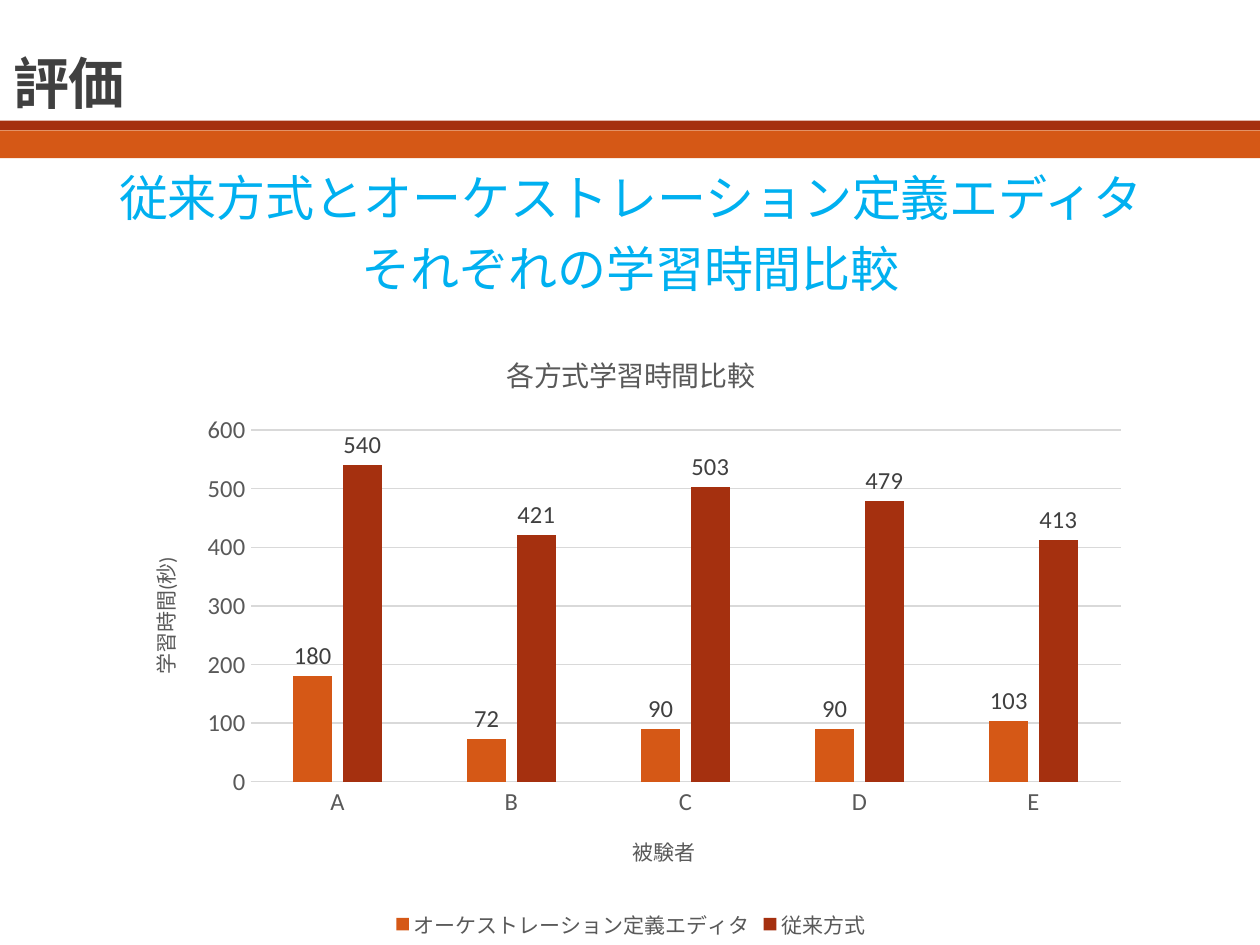
from pptx import Presentation
from pptx.chart.data import CategoryChartData
from pptx.dml.color import RGBColor
from pptx.enum import chart as ch, shapes, text
from pptx.util import Pt

FONT = "Calibri"
ORANGE, RED, GREY, PALE = "D55816", "A5300F", "595959", "D9D9D9"


def color(code):
    return RGBColor.from_string(code)


def style(font, size, code, bold=False):
    font.name, font.size, font.bold = FONT, Pt(size), bold
    font.color.rgb = color(code)


def write(frame, words, size, code, bold=False, align=None, space=None,
          before=0, after=0, track=None):
    for i, line in enumerate(words.split("\n")):
        para = frame.add_paragraph() if i else frame.paragraphs[0]
        para.alignment, para.line_spacing = align, space
        para.space_before, para.space_after = Pt(before), Pt(after)
        run = para.add_run()
        run.text = line
        style(run.font, size, code, bold)
        if track is not None:
            run.font._element.set("spc", str(int(track * 100)))


def add_box(slide, box, words, size, code, anchor, side=7.2, **form):
    frame = slide.shapes.add_textbox(*map(Pt, box)).text_frame
    frame.word_wrap = True
    frame.vertical_anchor = anchor
    frame.margin_left = frame.margin_right = Pt(side)
    write(frame, words, size, code, **form)


def add_band(slide, box, code):
    band = slide.shapes.add_shape(shapes.MSO_SHAPE.RECTANGLE, *map(Pt, box))
    band.shadow.inherit = False
    band.fill.solid()
    band.fill.fore_color.rgb = color(code)
    band.line.fill.background()


def add_header(slide, box):
    x, y, w, h = box
    # Two bands along the bottom, title above
    add_band(slide, (x, y + h - 16, w, 16), ORANGE)
    add_band(slide, (x, y + h - 21.6, w, 5.3), RED)
    add_box(slide, (x + 0.7, y + 10.8, 420, 59), "評価", 32, "404040",
            text.MSO_ANCHOR.BOTTOM, bold=True, space=0.85, track=-0.5)


def set_axis(axis, title):
    write(axis.axis_title.text_frame, title, 12, GREY)
    axis.major_tick_mark = axis.minor_tick_mark = ch.XL_TICK_MARK.NONE
    style(axis.tick_labels.font, 14, GREY)


def set_line(line):
    line.color.rgb = color(PALE)
    line.width = Pt(0.75)


def add_graph(slide, box):
    data = CategoryChartData()
    data.categories = list("ABCDE")
    data.add_series("オーケストレーション定義エディタ", (180, 72, 90, 90, 103))
    data.add_series("従来方式", (540, 421, 503, 479, 413))
    graph = slide.shapes.add_chart(
        ch.XL_CHART_TYPE.COLUMN_CLUSTERED, *map(Pt, box), data).chart
    style(graph.font, 10, "000000")
    write(graph.chart_title.text_frame, "各方式学習時間比較", 16, GREY)
    graph.chart_title.include_in_layout = False

    # Axes
    set_axis(graph.category_axis, "被験者")
    set_axis(graph.value_axis, "学習時間(秒)")
    set_line(graph.category_axis.format.line)
    set_line(graph.value_axis.major_gridlines.format.line)
    graph.value_axis.format.line.fill.background()
    graph.value_axis.minimum_scale = 0
    graph.value_axis.maximum_scale = 600
    graph.value_axis.major_unit = 100

    # Columns and their labels
    plot = graph.plots[0]
    plot.gap_width, plot.overlap = 219, -27
    plot.vary_by_categories = False
    for series, code in zip(plot.series, (ORANGE, RED)):
        series.format.fill.solid()
        series.format.fill.fore_color.rgb = color(code)
        labels = series.data_labels
        labels.show_value = True
        labels.position = ch.XL_LABEL_POSITION.OUTSIDE_END
        style(labels.font, 14, "404040")

    # Legend
    graph.has_legend = True
    graph.legend.position = ch.XL_LEGEND_POSITION.BOTTOM
    graph.legend.include_in_layout = False
    style(graph.legend.font, 12, GREY)


def main():
    deck = Presentation()
    deck.slide_width, deck.slide_height = Pt(720), Pt(540)
    slide = deck.slides.add_slide(deck.slide_layouts[6])
    add_header(slide, (0, 0, 720, 90.5))
    # Subject of the comparison
    add_box(slide, (0.7, 98.6, 719.3, 80),
            "従来方式とオーケストレーション定義エディタ\nそれぞれの学習時間比較",
            28, "00B0F0", text.MSO_ANCHOR.TOP, side=0,
            align=text.PP_ALIGN.CENTER, space=0.8, before=12, after=2)
    add_graph(slide, (69, 187, 583, 353))
    deck.save("out.pptx")


if __name__ == "__main__":
    main()
